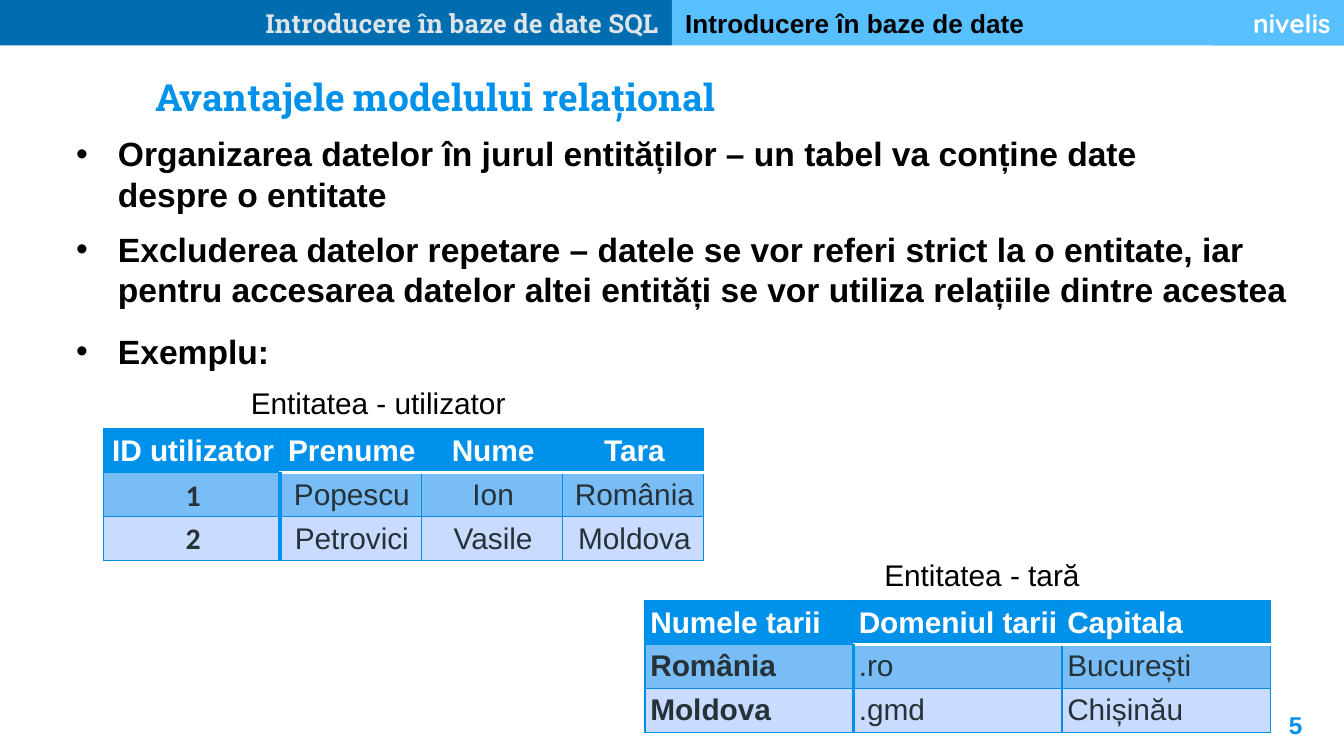
from lxml.etree import SubElement
from pptx import Presentation
from pptx.dml.color import RGBColor
from pptx.enum.shapes import MSO_SHAPE
from pptx.enum.text import MSO_ANCHOR, MSO_AUTO_SIZE, PP_ALIGN
from pptx.oxml.ns import qn
from pptx.util import Cm, Pt

BLUE, LINE, WHITE, BLACK, DARK = "0091EA", "008EE5", "FFFFFF", "000000", "263238"
ROW_FILLS = [BLUE, "79BDF7", "C9DBFF"]
ROW_HEIGHT = 0.83


def color(value):
    return RGBColor.from_string(value)


def write(frame, text, size, font="Arial", ink=BLACK, bold=False, align=PP_ALIGN.LEFT):
    """Put one formatted paragraph into a text frame and return it."""
    frame.text = text
    paragraph = frame.paragraphs[0]
    paragraph.alignment = align
    paragraph.space_before = Pt(0)
    for span in paragraph.runs:
        span.font.size = Pt(size)
        span.font.name = font
        span.font.bold = bold
        span.font.color.rgb = color(ink)
    return paragraph


def place(box, left, top, width, height):
    box.left, box.top, box.width, box.height = Cm(left), Cm(top), Cm(width), Cm(height)


def set_insets(frame, left, top, right, bottom):
    frame.margin_left, frame.margin_top = Cm(left), Cm(top)
    frame.margin_right, frame.margin_bottom = Cm(right), Cm(bottom)


def add_title(page, text):
    title = page.shapes.title
    place(title, 2.69, 1.27, 11.18, 1.12)
    title.text_frame.word_wrap = False
    title.text_frame.vertical_anchor = MSO_ANCHOR.MIDDLE
    write(title.text_frame, text, 20, "Roboto Slab", BLUE, True)


def fill_bullet(box, text, top, width, height):
    place(box, 1.19, top, width, height)
    frame = box.text_frame
    frame.word_wrap = True
    frame.auto_size = MSO_AUTO_SIZE.SHAPE_TO_FIT_TEXT
    frame.vertical_anchor = MSO_ANCHOR.TOP
    set_insets(frame, 0.25, 0.13, 0.25, 0.13)
    properties = write(frame, text, 18, bold=True)._p.get_or_add_pPr()
    properties.set("marL", str(Cm(0.79)))
    properties.set("indent", str(-Cm(0.79)))
    SubElement(properties, qn("a:buFont"), typeface="Arial")
    SubElement(properties, qn("a:buChar"), char="•")


def add_text(page, text, area, size, inset=0.13, **style):
    box = page.shapes.add_textbox(*map(Cm, area))
    box.text_frame.word_wrap = True
    set_insets(box.text_frame, 0.25, inset, 0.25, inset)
    write(box.text_frame, text, size, **style)


def add_band(page, text, left, width, fill, **style):
    band = page.shapes.add_shape(MSO_SHAPE.RECTANGLE, Cm(left), 0, Cm(width), Cm(0.86))
    band.shadow.inherit = False
    band.fill.solid()
    band.fill.fore_color.rgb = color(fill)
    band.line.fill.background()
    set_insets(band.text_frame, 0.25, 0, 0.25, 0)
    band.text_frame.vertical_anchor = MSO_ANCHOR.MIDDLE
    write(band.text_frame, text, 14, bold=True, **style)


def set_borders(cell, row, column):
    """Thin grid, a white rule below the header, a thick rule after the first column."""
    borders = {side: (LINE, 0.75) for side in "LRTB"}
    if row == 0 and column > 0:
        borders["B"] = (WHITE, 2)
    if row == 1 and column > 0:
        borders["T"] = (WHITE, 2)
    if row > 0 and column < 2:
        borders["R" if column == 0 else "L"] = (BLUE, 2)
    properties = cell._tc.get_or_add_tcPr()
    for side, (ink, points) in borders.items():
        line = SubElement(properties, qn(f"a:ln{side}"), w=str(Pt(points)))
        SubElement(SubElement(line, qn("a:solidFill")), qn("a:srgbClr"), val=ink)


def add_entity_table(page, left, top, widths, rows, align, body_anchor, key_font):
    frame = page.shapes.add_table(len(rows), len(widths), Cm(left), Cm(top),
                                  Cm(sum(widths)), Cm(ROW_HEIGHT * len(rows)))
    table = frame.table
    table.horz_banding = False
    for column, width in zip(table.columns, widths):
        column.width = Cm(width)
    for r, values in enumerate(rows):
        table.rows[r].height = Cm(ROW_HEIGHT)
        for c, value in enumerate(values):
            cell = table.cell(r, c)
            set_insets(cell, 0.1, 0.05, 0.05, 0.05)
            cell.vertical_anchor = body_anchor if r else MSO_ANCHOR.MIDDLE
            font = key_font if r and c == 0 else "Arial"
            paragraph = write(cell.text_frame, value, 16, font, DARK if r else WHITE,
                              r == 0 or c == 0, align)
            paragraph.line_spacing = 1.07
            set_borders(cell, r, c)
            cell.fill.solid()
            cell.fill.fore_color.rgb = color(ROW_FILLS[r])


def main():
    deck = Presentation()
    deck.slide_width, deck.slide_height = Cm(25.4), Cm(14.29)
    page = deck.slides.add_slide(deck.slide_layouts[4])

    # Title and bullets
    add_title(page, "Avantajele modelului relațional")
    bullets = [
        ("Organizarea datelor în jurul entităților – un tabel va conține date "
         "despre o entitate", 2.39, 22.81, 1.8),
        ("Excluderea datelor repetare – datele se vor referi strict la o entitate, iar "
         "pentru accesarea datelor altei entități se vor utiliza relațiile dintre acestea",
         4.19, 23.52, 1.8),
        ("Exemplu:", 6.12, 4.67, 1.02),
    ]
    bodies = list(page.placeholders)[1:]
    for box, bullet in zip(bodies, bullets):
        fill_bullet(box, *bullet)
    for spare in bodies[len(bullets):]:
        spare.element.getparent().remove(spare.element)

    # Entity tables with captions
    add_entity_table(page, 1.96, 8.1, [3.33, 2.67, 2.67, 2.67], [
        ["ID utilizator", "Prenume", "Nume", "Tara"],
        ["1", "Popescu", "Ion", "România"],
        ["2", "Petrovici", "Vasile", "Moldova"],
    ], PP_ALIGN.CENTER, MSO_ANCHOR.MIDDLE, "Calibri")
    add_entity_table(page, 12.19, 11.35, [3.94] * 3, [
        ["Numele tarii", "Domeniul tarii", "Capitala"],
        ["România", ".ro", "București"],
        ["Moldova", ".gmd", "Chișinău"],
    ], PP_ALIGN.LEFT, MSO_ANCHOR.TOP, "Arial")
    add_text(page, "Entitatea - utilizator", (3.53, 7.14, 7.24, 0.94), 16,
             align=PP_ALIGN.CENTER)
    add_text(page, "Entitatea - tară", (14.94, 10.39, 7.24, 0.94), 16,
             align=PP_ALIGN.CENTER)

    # Header bands
    add_band(page, "Introducere în baze de date SQL", 0, 12.7, "006DB0",
             font="Roboto Slab", ink="DEE5E9", align=PP_ALIGN.RIGHT)
    add_band(page, "Introducere în baze de date", 12.7, 12.7, "59C0FF")
    add_band(page, "nivelis", 22.91, 2.49, "59C0FF",
             font="Quicksand", ink=WHITE, align=PP_ALIGN.RIGHT)

    # Page number
    add_text(page, "5", (23.34, 13.18, 1.52, 1.09), 13, inset=0.25,
             ink=BLUE, bold=True, align=PP_ALIGN.RIGHT)

    deck.save("out.pptx")


if __name__ == "__main__":
    main()
